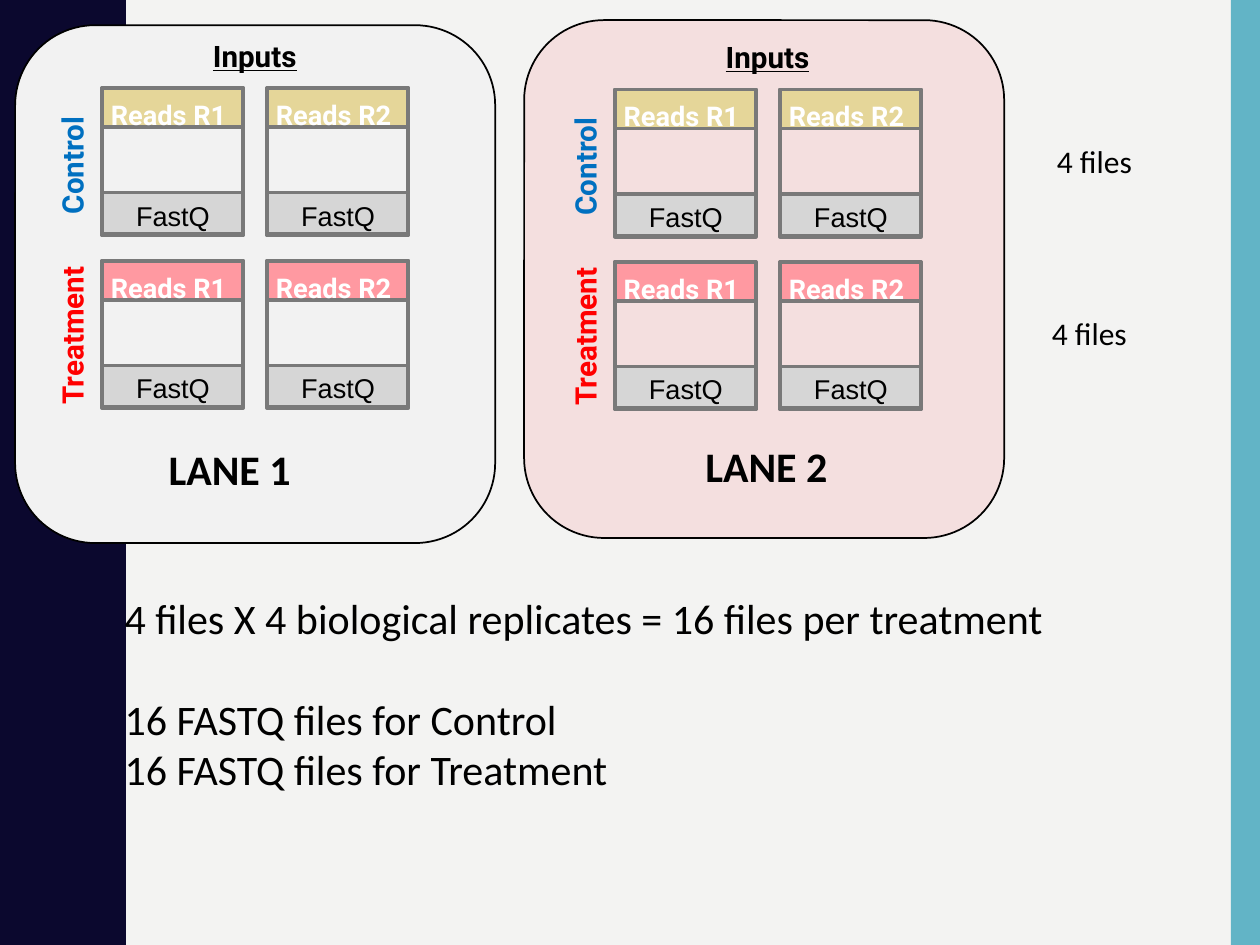
from dataclasses import dataclass

from pptx import Presentation
from pptx import util as u
from pptx.dml.color import RGBColor
from pptx.enum import shapes, text
from pptx.util import Inches


@dataclass(frozen=True)
class Theme:
    background: str = "F3F3F2"
    wave: str = "0B082E"
    stripe: str = "62B4C6"
    lanes: tuple = ("F2F2F2", "F4DFDF")
    control: str = "E5D699"
    treatment: str = "FF99A1"
    control_label: str = "0070C0"
    treatment_label: str = "FF0000"
    footer: str = "D6D6D6"
    border: str = "797979"
    black: str = "000000"
    white: str = "FFFFFF"
    body_font: str = "Calibri"
    label_font: str = "Roboto"
    file_font: str = "Arial"
    card_size: float = 15.5
    label_size: float = 16.9
    note_size: float = 18
    body_size: float = 24


class LaneSlide:
    card_width, card_height = 1.12, 1.17

    def __init__(self, slide, theme):
        self.slide = slide
        self.theme = theme
        slide.background.fill.solid()
        slide.background.fill.fore_color.rgb = RGBColor.from_string(theme.background)

    def paint(self, shape, fill=None, line=None, line_width=2.0):
        shape.shadow.inherit = False
        if fill:
            shape.fill.solid()
            shape.fill.fore_color.rgb = RGBColor.from_string(fill)
        else:
            shape.fill.background()
        if line:
            shape.line.color.rgb = RGBColor.from_string(line)
            shape.line.width = u.Pt(line_width)
        else:
            shape.line.fill.background()

    def box(self, left, top, width, height, fill=None, line=None, line_width=2.0,
            kind=shapes.MSO_SHAPE.RECTANGLE):
        shape = self.slide.shapes.add_shape(
            kind, Inches(left), Inches(top), Inches(width), Inches(height))
        self.paint(shape, fill, line, line_width)
        return shape

    def set_text(self, shape, lines, size, font, color, bold=False, underline=None,
                 insets=(0, 0, 0, 0), wrap=True):
        """Fill a shape with left-aligned paragraphs; insets are left, top, right, bottom."""
        frame = shape.text_frame
        frame.word_wrap = wrap
        frame.vertical_anchor = text.MSO_ANCHOR.TOP
        (frame.margin_left, frame.margin_top,
         frame.margin_right, frame.margin_bottom) = map(Inches, insets)
        frame.text = "\n".join(lines)
        for paragraph in frame.paragraphs:
            paragraph.alignment = text.PP_ALIGN.LEFT
            paragraph.font.size = u.Pt(size)
            paragraph.font.name = font
            paragraph.font.bold = bold
            paragraph.font.underline = underline
            paragraph.font.color.rgb = RGBColor.from_string(color)
        return frame

    def text_box(self, left, top, width, height):
        return self.slide.shapes.add_textbox(
            Inches(left), Inches(top), Inches(width), Inches(height))

    def note(self, left, top, width, height, lines, size, bold=False):
        """Add an unwrapped text box in the body font."""
        return self.set_text(
            self.text_box(left, top, width, height), lines, size, self.theme.body_font,
            self.theme.black, bold, insets=(0.1, 0.05, 0.1, 0.05), wrap=False)

    def wave(self, trough=0.55, crest=0.74, half_wave=0.75, count=10, steps=16):
        """Draw the left band, whose right edge swings between trough and crest."""
        edge = []
        for half in range(count):
            start, end = (trough, crest) if half % 2 == 0 else (crest, trough)
            for step in range(steps):
                t = step / steps
                swing = 3 * t**2 - 2 * t**3
                rise = 1.5 * t * (1 - t) + t**3
                edge.append((start + (end - start) * swing, (half + rise) * half_wave))
        bottom = count * half_wave
        edge += [(trough, bottom), (0, bottom)]
        builder = self.slide.shapes.build_freeform(0, 0, scale=Inches(1))
        builder.add_line_segments(edge, close=True)
        self.paint(builder.convert_to_shape(), self.theme.wave)

    def card(self, left, top, title, color):
        theme = self.theme
        self.box(left, top, self.card_width, self.card_height, line=theme.border)
        header = self.box(left, top, self.card_width, 0.31, color, theme.border)
        self.set_text(header, [title], theme.card_size, theme.label_font, theme.white,
                      bold=True, insets=(0.07, 0.08, 0, 0))
        footer = self.box(left, top + 0.83, self.card_width, 0.33, theme.footer, theme.border)
        self.set_text(footer, ["FastQ"], theme.card_size, theme.file_font, theme.black,
                      insets=(0.27, 0.05, 0, 0))

    def side_label(self, left, top, height, caption, color):
        """Add a label that reads from bottom to top."""
        frame = self.set_text(
            self.text_box(left, top, 0.28, height), [caption], self.theme.label_size,
            self.theme.label_font, color, bold=True, insets=(0, 0, 0, 0.01))
        frame._txBody.bodyPr.set("vert", "vert270")

    def lane(self, left, top):
        """Add the inputs heading and the grid of cards, from the grid's top left."""
        theme = self.theme
        heading = self.text_box(left + 0.87, top - 0.42, 0.72, 0.29)
        self.set_text(heading, ["Inputs"], theme.label_size, theme.label_font, theme.black,
                      bold=True, underline=True, insets=(0.01, 0.02, 0, 0))
        groups = (
            ("Control", theme.control, theme.control_label, 0.16, 0.85),
            ("Treatment", theme.treatment, theme.treatment_label, 0, 1.15),
        )
        for row, (caption, color, label_color, offset, height) in enumerate(groups):
            row_top = top + row * 1.37
            self.side_label(left - 0.38, row_top + offset, height, caption, label_color)
            for column in range(2):
                self.card(left + column * 1.31, row_top, f"Reads R{column + 1}", color)


def main():
    presentation = Presentation()
    presentation.slide_width, presentation.slide_height = Inches(10), Inches(7.5)
    theme = Theme()
    page = LaneSlide(presentation.slides.add_slide(presentation.slide_layouts[6]), theme)

    page.box(9.77, 0, 0.23, 7.5, theme.stripe)
    page.wave()

    # Panel corner, card grid corner and title corner of each lane
    lanes = (
        ((0.12, 0.2), (0.81, 0.7), (1.24, 3.47)),
        ((4.16, 0.16), (4.88, 0.71), (5.5, 3.45)),
    )
    for number, (panel, grid, title) in enumerate(lanes, start=1):
        page.box(*panel, 3.81, 4.11, theme.lanes[number - 1], theme.black, 1,
                 shapes.MSO_SHAPE.ROUNDED_RECTANGLE)
        page.lane(*grid)
        page.note(*title, 1.4, 0.5, [f"LANE {number}"], theme.body_size, bold=True)

    for left, top in ((8.29, 1.08), (8.25, 2.44)):
        page.note(left, top, 0.86, 0.4, ["4 files"], theme.note_size)

    summary = page.note(0.89, 4.65, 8.26, 1.72, [
        "4 files X 4 biological replicates = 16 files per treatment",
        "16 FASTQ files for Control",
        "16 FASTQ files for Treatment",
    ], theme.body_size)
    summary.paragraphs[1].space_before = u.Pt(29)

    presentation.save("out.pptx")


if __name__ == "__main__":
    main()
